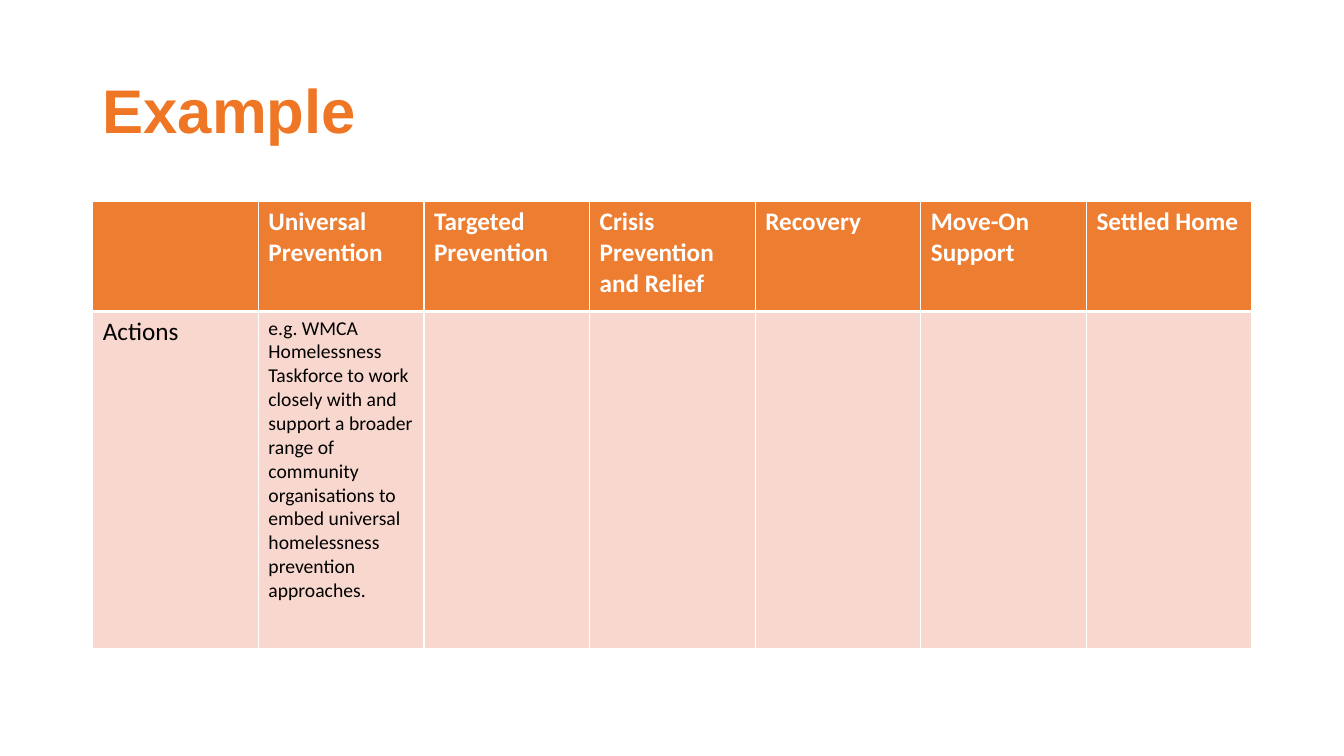
from lxml import etree
from pptx import Presentation
from pptx import util as u
from pptx.dml.color import RGBColor
from pptx.enum import text
from pptx.oxml.ns import qn

HEADERS = ["", "Universal Prevention", "Targeted Prevention",
           "Crisis Prevention and Relief", "Recovery", "Move-On Support",
           "Settled Home"]
ACTIONS = ["Actions",
           "e.g. WMCA Homelessness Taskforce to work closely with and support "
           "a broader range of community organisations to embed universal "
           "homelessness prevention approaches.", "", "", "", "", ""]


def rgb(value):
    return RGBColor.from_string(value)


class Deck:
    TITLE = "EE7624"
    HEADER = "ED7D31"
    BODY = "F8D7CE"
    WHITE = "FFFFFF"
    BLACK = "000000"

    def __init__(self):
        self.prs = Presentation()
        self.prs.slide_width = u.Inches(13.33)
        self.prs.slide_height = u.Inches(7.5)
        self.s = self.prs.slides.add_slide(self.prs.slide_layouts[6])

    def style(self, p, font, size, color, bold=False):
        p.font.size = u.Pt(size)
        for r in p.runs:
            r.font.name = font
            r.font.size = u.Pt(size)
            r.font.bold = bold
            r.font.color.rgb = rgb(color)

    def title(self, words, left, top, width, height):
        sp = self.s.shapes.add_textbox(*map(u.Inches, (left, top, width, height)))
        tf = sp.text_frame
        tf.word_wrap = True
        tf.vertical_anchor = text.MSO_ANCHOR.MIDDLE
        tf.text = words
        p = tf.paragraphs[0]
        p.line_spacing = 0.9
        self.style(p, "Arial", 44, self.TITLE, bold=True)

    def borders(self, cell, top, bottom):
        """Draw white cell edges; top and bottom are widths in points."""
        tc_pr = cell._tc.get_or_add_tcPr()
        for side, width in (("L", 1), ("R", 1), ("T", top), ("B", bottom)):
            ln = etree.SubElement(tc_pr, qn(f"a:ln{side}"), w=str(u.Pt(width)))
            fill = etree.SubElement(ln, qn("a:solidFill"))
            etree.SubElement(fill, qn("a:srgbClr"), val=self.WHITE)

    def table(self, rows, left, top, width, heights):
        frame = self.s.shapes.add_table(
            len(rows), len(rows[0]), u.Inches(left), u.Inches(top),
            u.Inches(width), u.Inches(sum(heights)))
        table = frame.table
        for column in table.columns:
            column.width = u.Inches(width / len(rows[0]))
        for i, (row, height) in enumerate(zip(rows, heights)):
            table.rows[i].height = u.Inches(height)
            header = i == 0
            for j, words in enumerate(row):
                cell = table.cell(i, j)
                self.borders(cell, 1 if header else 3, 3 if header else 1)
                cell.fill.solid()
                cell.fill.fore_color.rgb = rgb(self.HEADER if header else self.BODY)
                cell.text_frame.text = words
                self.style(cell.text_frame.paragraphs[0], "Calibri",
                           18 if header or j == 0 else 14,
                           self.WHITE if header else self.BLACK, bold=header)


def main():
    deck = Deck()
    deck.title("Example", 0.92, 0.4, 11.5, 1.45)
    deck.table([HEADERS, ACTIONS], 0.92, 2, 11.5, [1.09, 3.34])
    deck.prs.save("out.pptx")


if __name__ == "__main__":
    main()
